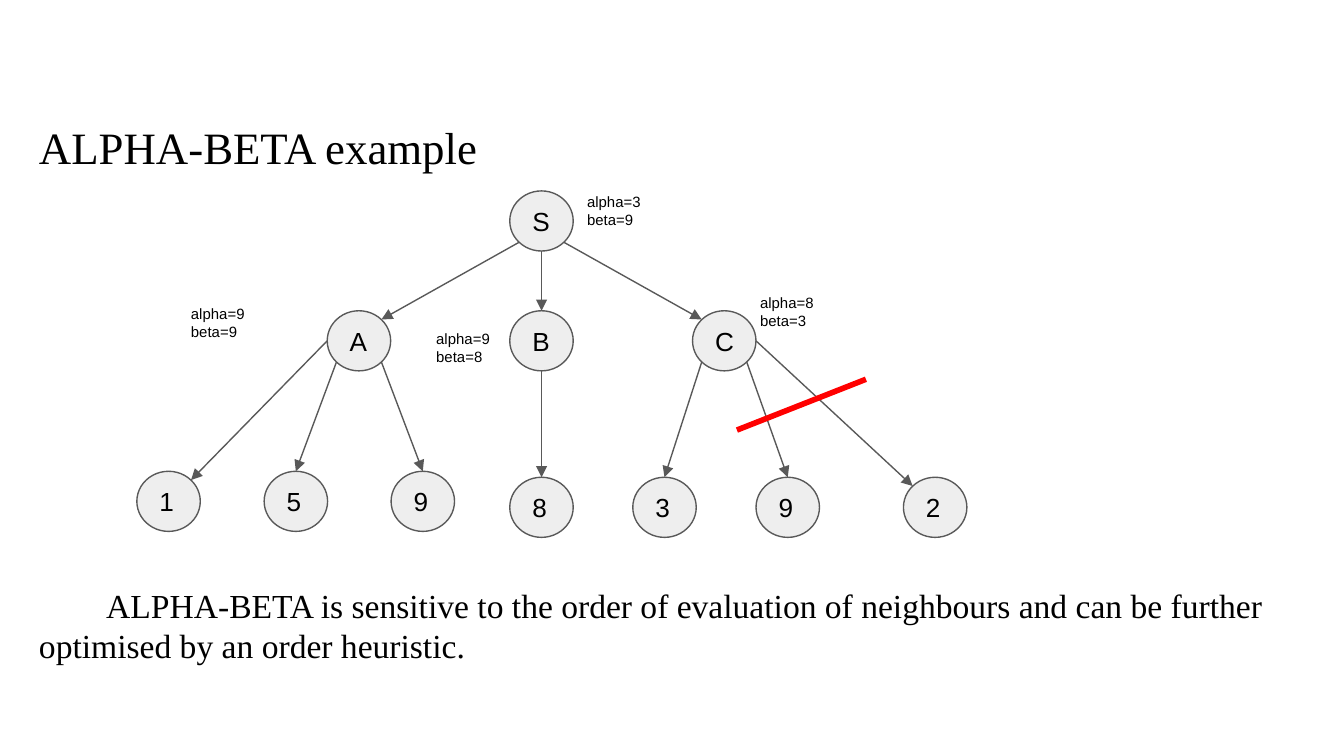
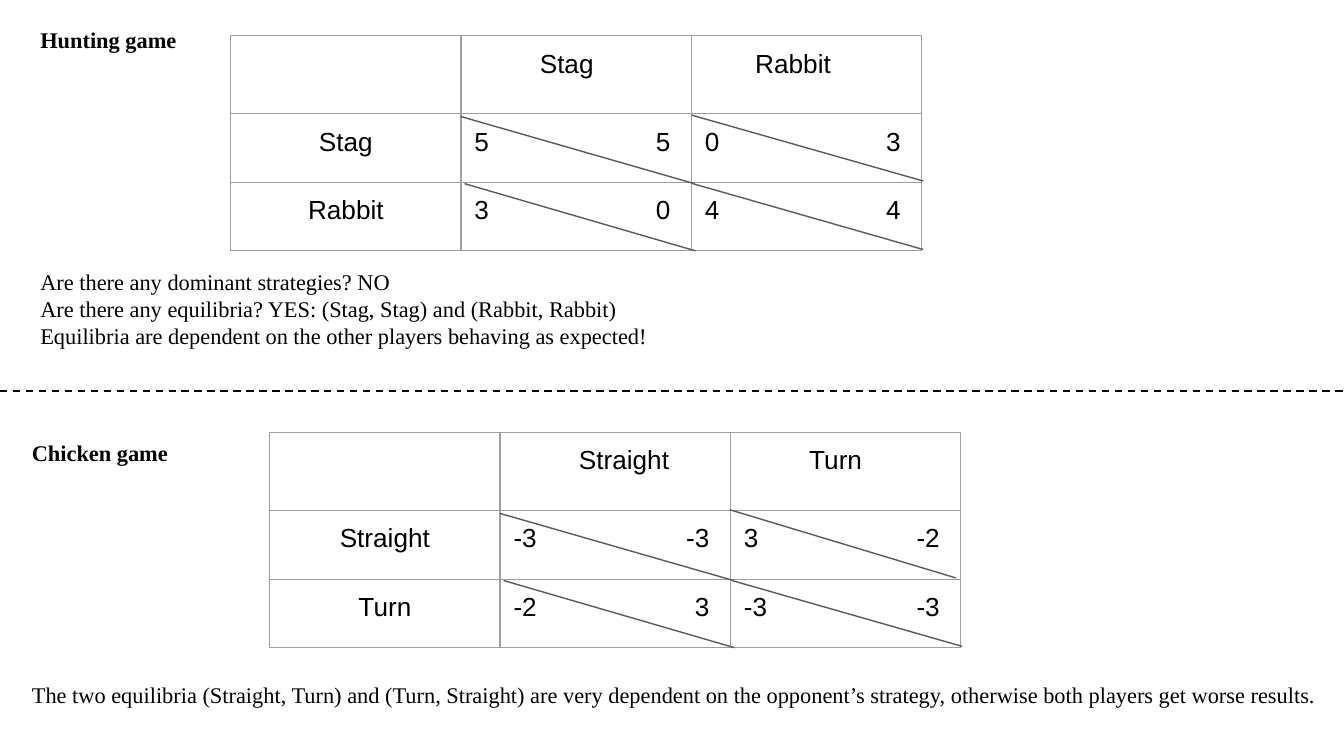
from lxml.etree import SubElement as Sub
from pptx import Presentation
from pptx.dml.color import RGBColor as Rgb
from pptx.enum.dml import MSO_LINE as Dash
from pptx.enum.shapes import MSO_CONNECTOR as Conn, MSO_SHAPE as Shape
from pptx.enum.text import MSO_ANCHOR as Anchor, MSO_AUTO_SIZE as Auto, PP_ALIGN as Align
from pptx.oxml.ns import qn
from pptx.util import Pt

HEX = {"ink": "000000", "node": "EEEEEE", "edge": "595959", "grid": "9E9E9E", "cut": "FF0000"}
SERIF, SANS = "Times New Roman", "Arial"
PAD = 7.2


def write(frame, lines, size, face, bold=False, pad=PAD, left=0, first=0):
    """Fill a frame with plain, left-aligned paragraphs."""
    frame.word_wrap, frame.auto_size = True, Auto.NONE
    frame.vertical_anchor = Anchor.TOP
    frame.margin_left = frame.margin_right = Pt(PAD)
    frame.margin_top = frame.margin_bottom = Pt(pad)
    for i, text in enumerate(lines):
        para = frame.add_paragraph() if i else frame.paragraphs[0]
        para.text = text
        para.alignment = Align.LEFT
        para.line_spacing, para.space_before = 1.0, Pt(0)
        props = para._p.get_or_add_pPr()
        props.set("marL", str(Pt(left)))
        props.set("indent", str(Pt(first)))
        Sub(props, qn("a:buNone"))
        font = para.font
        font.size, font.name, font.bold = Pt(size), face, bold
        font.color.rgb = Rgb.from_string(HEX["ink"])


def draw(slide, x1, y1, x2, y2, tint="edge", width=0.75, arrow=False):
    """Draw a straight line without shadow."""
    line = slide.shapes.add_connector(Conn.STRAIGHT, Pt(x1), Pt(y1), Pt(x2), Pt(y2))
    line.line.color.rgb = Rgb.from_string(HEX[tint])
    line.line.width = Pt(width)
    if arrow:
        Sub(line.line._get_or_add_ln(), qn("a:tailEnd"), type="triangle")
    Sub(line._element.spPr, qn("a:effectLst"))
    return line


deck = Presentation()
deck.slide_width, deck.slide_height = Pt(720), Pt(405)

# Titles and body text of both slides
PAGES = [
    ("ALPHA-BETA example", 24, False, (13.7, 57, 681, 44),
     ["ALPHA-BETA is sensitive to the order of evaluation of neighbours "
      "and can be further optimised by an order heuristic."], 18, 36, (13.7, 306.2, 681, 62)),
    ("Hunting game", 12, True, (14.4, 7, 106, 30),
     ["Are there any dominant strategies? NO",
      "Are there any equilibria? YES: (Stag, Stag) and (Rabbit, Rabbit)",
      "Equilibria are dependent on the other players behaving as expected!"],
     12, 0, (14.4, 136.7, 681, 60)),
]
for title, size, bold, spot, lines, small, first, place in PAGES:
    slide = deck.slides.add_slide(deck.slide_layouts[1])
    head, body = slide.placeholders
    for box, at in ((head, spot), (body, place)):
        box.left, box.top, box.width, box.height = map(Pt, at)
    write(head.text_frame, [title], size, SERIF, bold)
    write(body.text_frame, lines, small, SERIF, first=first)
tree, games = deck.slides

# Tree nodes: text, centre x, top
WIDE, HIGH = 34, 32.2
NODES = {
    "S": ("S", 290.1, 102.3),
    "A": ("A", 192.3, 166.5), "B": ("B", 290.1, 166.5), "C": ("C", 388, 166.5),
    "A1": ("1", 90.3, 252.5), "A2": ("5", 158.5, 252.5), "A3": ("9", 226.5, 252.5),
    "B1": ("8", 290.1, 255.7),
    "C1": ("3", 356, 255.7), "C2": ("9", 422, 255.7), "C3": ("2", 501, 255.7),
}
for text, x, y in NODES.values():
    node = tree.shapes.add_shape(Shape.FLOWCHART_CONNECTOR, Pt(x - WIDE / 2), Pt(y),
                                 Pt(WIDE), Pt(HIGH))
    node.shadow.inherit = False
    node.fill.solid()
    node.fill.fore_color.rgb = Rgb.from_string(HEX["node"])
    node.line.color.rgb = Rgb.from_string(HEX["edge"])
    node.line.width = Pt(0.75)
    write(node.text_frame, [text], 14, SANS)
    node.text_frame.vertical_anchor = Anchor.MIDDLE

# Tree edges: each end sits on one of eight points of the rim
RIM = {"n": (0, -1), "s": (0, 1), "w": (-1, 0), "e": (1, 0),
       "nw": (-0.71, -0.71), "ne": (0.71, -0.71), "sw": (-0.71, 0.71), "se": (0.71, 0.71)}
EDGES = [
    ("S", "sw", "A", "ne"), ("S", "s", "B", "n"), ("S", "se", "C", "nw"),
    ("A", "w", "A1", "ne"), ("A", "sw", "A2", "n"), ("A", "se", "A3", "n"),
    ("B", "s", "B1", "n"),
    ("C", "sw", "C1", "n"), ("C", "se", "C2", "n"), ("C", "e", "C3", "nw"),
]
for start, out, end, into in EDGES:
    ends = []
    for name, side in ((start, out), (end, into)):
        text, x, y = NODES[name]
        dx, dy = RIM[side]
        ends += [x + dx * WIDE / 2, y + (1 + dy) * HIGH / 2]
    draw(tree, *ends, arrow=True)

# Bounds beside the inner nodes: alpha, beta, left, top, width
for alpha, beta, x, y, wide in [(3, 9, 307.4, 95.8, 104), (9, 9, 95.2, 156.2, 73),
                                (9, 8, 226.6, 169.2, 47), (8, 3, 400.1, 150.3, 77)]:
    box = tree.shapes.add_textbox(Pt(x), Pt(y), Pt(wide), Pt(33.8))
    write(box.text_frame, [f"alpha={alpha}", f"beta={beta}"], 8, SANS)

# Cut through the pruned branches
draw(tree, 394.8, 230.4, 463.9, 203.2, "cut", 3)

# Payoff tables: left, top, moves with header indents, payoffs, top right diagonal
COL, ROWS = 123.4, (41.8, 36.7, 36.7)
GAMES = [
    (123.6, 19.2, [("Stag", 35), ("Rabbit", 27)],
     [[(5, 5), (0, 3)], [(3, 0), (4, 4)]], (247, 42.5, 371, 77.8)),
    (144.5, 231.8, [("Straight", 35), ("Turn", 35)],
     [[(-3, -3), (3, -2)], [(-2, 3), (-3, -3)]], (246.5, 41.3, 367.5, 77.8)),
]
SLANTS = [(123.2, 43.2, 248.4, 79.2), (247.6, 79.2, 371, 114.5), (125.3, 79.2, 249, 115.2)]
SPAN, DIGIT, MINUS, SPACE = 105, 7.8, 4.7, 3.9  # payoff line and its glyph widths
for left, top, moves, pays, slant in GAMES:
    grid = games.shapes.add_table(3, 3, Pt(left), Pt(top), Pt(3 * COL), Pt(sum(ROWS))).table
    grid.first_row = grid.horz_banding = False
    for col in grid.columns:
        col.width = Pt(COL)
    for row, high in zip(grid.rows, ROWS):
        row.height = Pt(high)
    for cell in grid.iter_cells():
        cell.margin_left = cell.margin_right = cell.margin_top = cell.margin_bottom = Pt(PAD)
        props = cell._tc.get_or_add_tcPr()
        for side in "LRTB":
            edge = Sub(props, qn(f"a:ln{side}"), w=str(Pt(0.75)))
            Sub(Sub(edge, qn("a:solidFill")), qn("a:srgbClr"), val=HEX["grid"])
        cell.fill.background()
    for i, (move, inset) in enumerate(moves, 1):
        write(grid.cell(0, i).text_frame, [move], 14, SANS, left=inset)
        side = grid.cell(i, 0).text_frame
        write(side, [move], 14, SANS)
        side.paragraphs[0].alignment = Align.CENTER
        for j, pair in enumerate(pays[i - 1], 1):
            frame = grid.cell(i, j).text_frame
            write(frame, [str(pair[0])], 14, SANS)
            # One space, widened so that the second payoff ends at the span
            gap, last = [frame.paragraphs[0].add_run() for _ in pair]
            gap.text, last.text = " ", str(pair[1])
            room = SPAN - SPACE - sum(DIGIT + MINUS * (pay < 0) for pay in pair)
            gap._r.get_or_add_rPr().set("spc", str(round(room * 100)))
    for x1, y1, x2, y2 in SLANTS + [slant]:
        draw(games, left + x1, top + y1, left + x2, top + y2)

# Second game: heading and remark
for text, y, wide, bold in [
    ("Chicken game", 231.9, 130, True),
    ("The two equilibria (Straight, Turn) and (Turn, Straight) are very dependent on the "
     "opponent’s strategy, otherwise both players get worse results.", 361.5, 710, False),
]:
    box = games.shapes.add_textbox(Pt(10), Pt(y), Pt(wide), Pt(22))
    write(box.text_frame, [text], 12, SERIF, bold, pad=3.6)

# Divider between the games
draw(games, 0, 209.5, 720, 209.5, "ink", 1).line.dash_style = Dash.DASH

deck.save("out.pptx")
